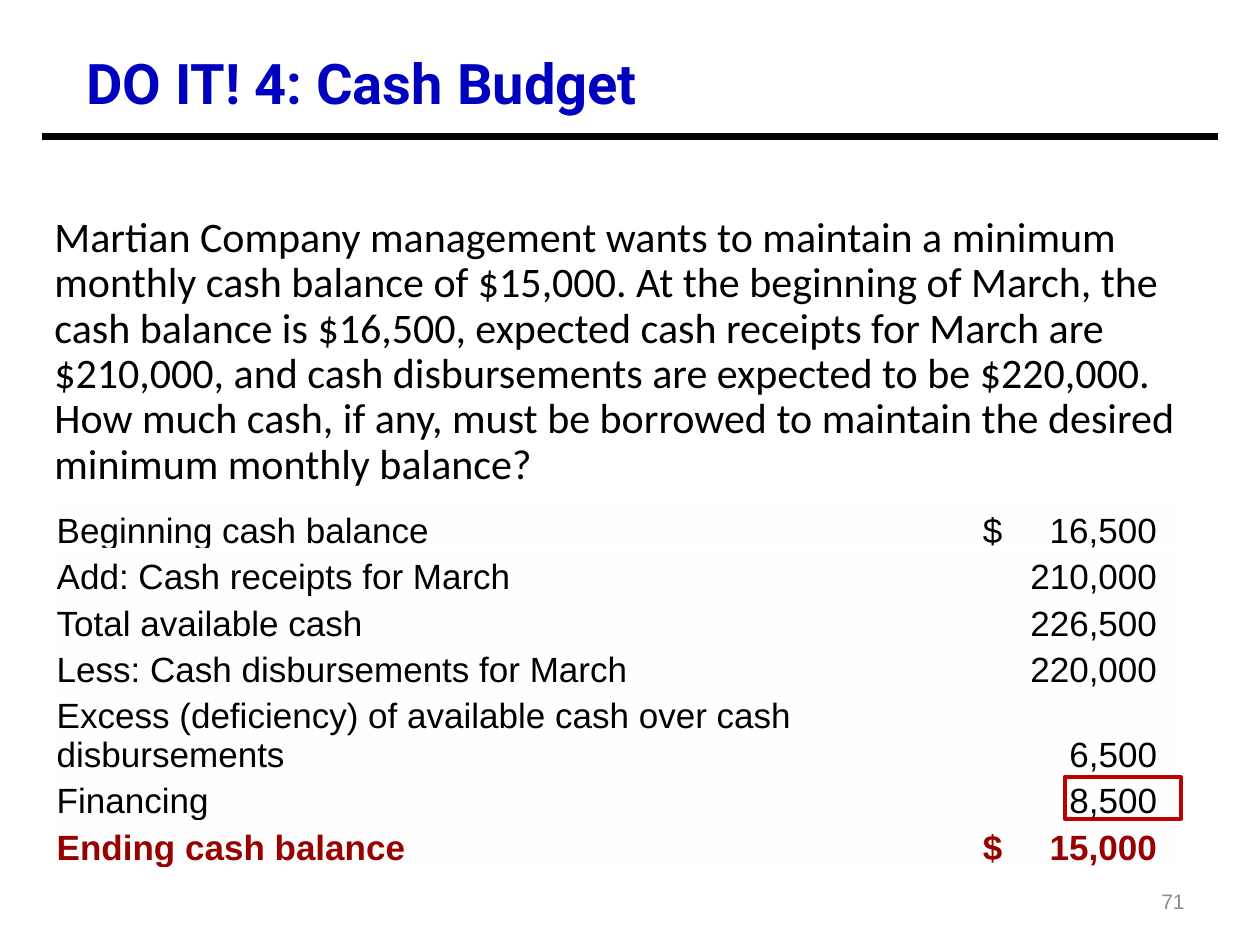
from lxml import etree
from pptx import Presentation
from pptx.dml.color import RGBColor
from pptx.enum.shapes import MSO_CONNECTOR, MSO_SHAPE
from pptx.enum.text import MSO_ANCHOR, PP_ALIGN
from pptx.oxml.ns import qn
from pptx.util import Pt

BLACK = RGBColor(0x00, 0x00, 0x00)
BLUE = RGBColor(0x00, 0x00, 0xBF)
GRAY = RGBColor(0x8C, 0x8C, 0x8C)
DARK_RED = RGBColor(0x99, 0x00, 0x00)
RED = RGBColor(0xC0, 0x00, 0x00)
WHITE = RGBColor(0xFF, 0xFF, 0xFF)
CELL_FILL = RGBColor(0xFF, 0xFE, 0xFE)

LEFT, RIGHT = PP_ALIGN.LEFT, PP_ALIGN.RIGHT
TOP, MIDDLE, BOTTOM = MSO_ANCHOR.TOP, MSO_ANCHOR.MIDDLE, MSO_ANCHOR.BOTTOM
STRAIGHT, RECTANGLE = MSO_CONNECTOR.STRAIGHT, MSO_SHAPE.RECTANGLE

QUESTION = (
    "Martian Company management wants to maintain a minimum monthly cash "
    "balance of $15,000. At the beginning of March, the cash balance is "
    "$16,500, expected cash receipts for March are $210,000, and cash "
    "disbursements are expected to be $220,000. How much cash, if any, must "
    "be borrowed to maintain the desired minimum monthly balance?"
)
BUDGET = [
    ("Beginning cash balance", "$\t16,500"),
    ("Add: Cash receipts for March", "210,000"),
    ("Total available cash", "226,500"),
    ("Less: Cash disbursements for March", "220,000"),
    ("Excess (deficiency) of available cash over cash disbursements", "6,500"),
    ("Financing", "8,500"),
    ("Ending cash balance", "$\t15,000"),
]


class Deck:
    """Holds the style and the current slide."""

    body_font = "Calibri"
    title_font = "Roboto"
    table_font = "Arial"
    row_height = 26.64
    dollar_indent = 18
    figure_tab = 99.5
    figure_margin = 13.4

    def __init__(self, prs):
        self.s = prs.slides.add_slide(prs.slide_layouts[5])

    def set_text(self, p, text, font, size, color, bold=False, align=LEFT):
        p.text = text
        p.alignment = align
        p.font.name, p.font.size, p.font.bold = font, Pt(size), bold
        p.font.color.rgb = color

    def title(self, x, y, w, h, text):
        sp = self.s.shapes.title
        sp.left, sp.top, sp.width, sp.height = Pt(x), Pt(y), Pt(w), Pt(h)
        tf = sp.text_frame
        tf.vertical_anchor = TOP
        self.set_text(tf.paragraphs[0], text, self.title_font, 32, BLUE, True)

    def text(self, x, y, w, h, text, font, size, color, align=LEFT,
             anchor=TOP, spacing=1.0):
        sp = self.s.shapes.add_textbox(Pt(x), Pt(y), Pt(w), Pt(h))
        tf = sp.text_frame
        tf.word_wrap = True
        tf.vertical_anchor = anchor
        p = tf.paragraphs[0]
        self.set_text(p, text, font, size, color, align=align)
        p.line_spacing = spacing

    def rule(self, x1, x2, y, width):
        ln = self.s.shapes.add_connector(STRAIGHT, Pt(x1), Pt(y), Pt(x2), Pt(y))
        ln.line.color.rgb = BLACK
        ln.line.width = Pt(width)
        etree.SubElement(ln._element.spPr, qn("a:effectLst"))

    def frame(self, x, y, w, h):
        sp = self.s.shapes.add_shape(RECTANGLE, Pt(x), Pt(y), Pt(w), Pt(h))
        sp.shadow.inherit = False
        sp.fill.background()
        sp.line.color.rgb = RED
        sp.line.width = Pt(2.25)

    def borders(self, cell, widths):
        tcPr = cell._tc.get_or_add_tcPr()
        for side, width in zip("LRTB", widths):
            ln = etree.SubElement(tcPr, qn(f"a:ln{side}"), w=str(Pt(width)))
            fill = etree.SubElement(ln, qn("a:solidFill"))
            etree.SubElement(fill, qn("a:srgbClr"), val=str(WHITE))

    def figure_tab_stop(self, p):
        tabs = etree.SubElement(p._p.get_or_add_pPr(), qn("a:tabLst"))
        etree.SubElement(tabs, qn("a:tab"), pos=str(Pt(self.figure_tab)), algn="r")

    def table(self, x, y, widths, rows):
        height = self.row_height * len(rows)
        table = self.s.shapes.add_table(
            len(rows), len(widths), Pt(x), Pt(y), Pt(sum(widths)), Pt(height)).table
        table.first_row = table.horz_banding = False
        for column, width in zip(table.columns, widths):
            column.width = Pt(width)
        last = len(rows) - 1
        for i, row in enumerate(rows):
            table.rows[i].height = Pt(self.row_height)
            for j, text in enumerate(row):
                cell = table.cell(i, j)
                # A heavier line parts the first row from the second
                self.borders(cell, (1, 1, 3 if i == 1 else 1, 3 if i == 0 else 1))
                cell.fill.solid()
                cell.fill.fore_color.rgb = CELL_FILL
                cell.vertical_anchor = BOTTOM
                cell.margin_left = cell.margin_right = 0
                cell.margin_top = cell.margin_bottom = 0
                p = cell.text_frame.paragraphs[0]
                align = LEFT
                if "\t" in text:
                    cell.margin_left = Pt(self.dollar_indent)
                    self.figure_tab_stop(p)
                elif j == 1:
                    cell.margin_right = Pt(self.figure_margin)
                    align = RIGHT
                color = DARK_RED if i == last else BLACK
                self.set_text(p, text, self.table_font, 20, color, i == last, align)


def main():
    prs = Presentation()
    prs.slide_width, prs.slide_height = Pt(720), Pt(540)
    deck = Deck(prs)

    # Heading
    deck.rule(24, 696, 78, 4.5)
    deck.title(42, 24, 654, 44, "DO IT! 4: Cash Budget")

    # Question
    deck.text(24, 120, 672, 168, QUESTION, deck.body_font, 24, BLACK, spacing=0.9)

    # Cash budget, with the amount to borrow framed
    deck.table(32.4, 288, (511.2, 131), BUDGET)
    deck.frame(608.4, 444, 66.24, 24)

    # Slide number
    deck.text(516, 500.4, 168, 28.8, "71", deck.table_font, 12, GRAY, RIGHT, MIDDLE)

    prs.save("out.pptx")


if __name__ == "__main__":
    main()
